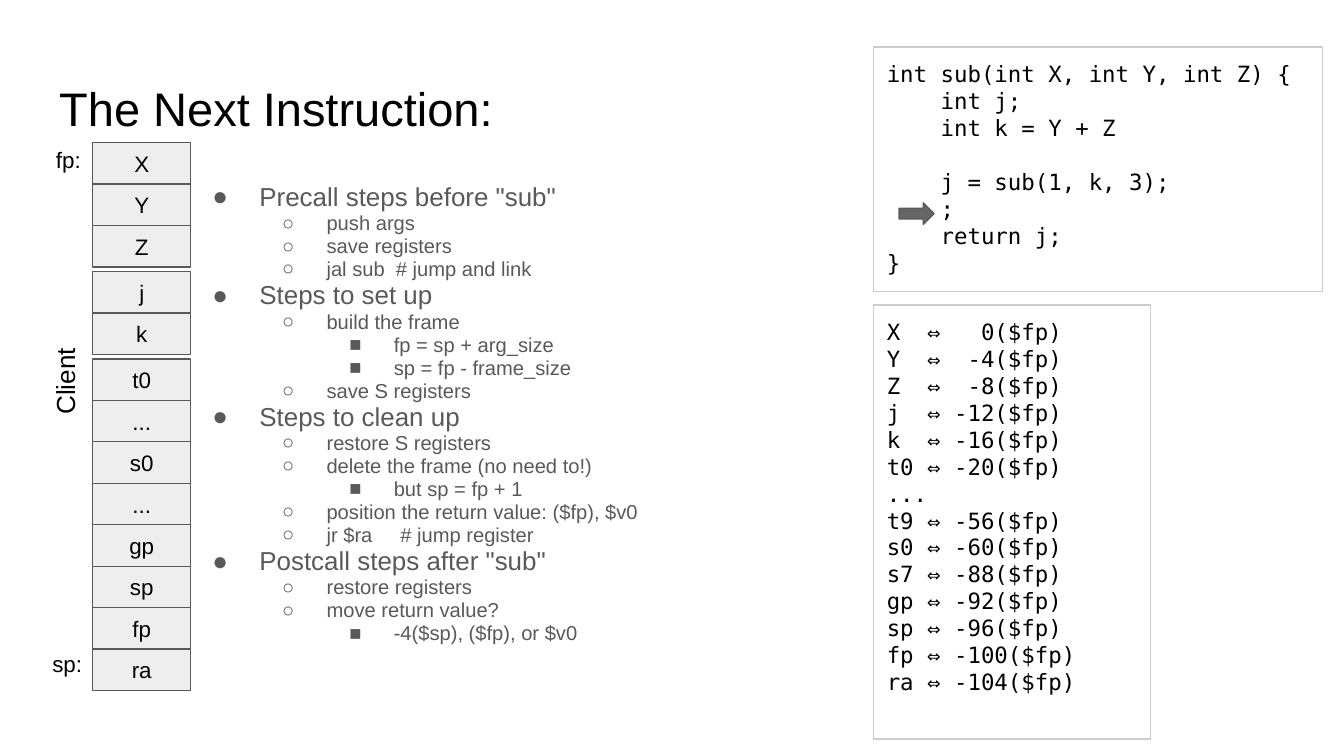
from dataclasses import dataclass

from lxml import etree
from pptx import Presentation
from pptx.dml.color import RGBColor
from pptx.enum.shapes import MSO_SHAPE
from pptx.enum.text import MSO_ANCHOR, MSO_AUTO_SIZE, PP_ALIGN
from pptx.oxml.ns import qn
from pptx.util import Inches, Pt

RECT, ARROW = MSO_SHAPE.RECTANGLE, MSO_SHAPE.RIGHT_ARROW
TOP, MIDDLE = MSO_ANCHOR.TOP, MSO_ANCHOR.MIDDLE
LEFT, CENTER, RIGHT = PP_ALIGN.LEFT, PP_ALIGN.CENTER, PP_ALIGN.RIGHT
NO_AUTOSIZE = MSO_AUTO_SIZE.NONE


@dataclass(frozen=True)
class Theme:
    ink: str = "000000"
    muted: str = "595959"
    cell: str = "EEEEEE"
    border: str = "CCCCCC"
    arrow: str = "666666"
    sans: str = "Arial"
    mono: str = "DejaVu Sans Mono"
    title: float = 25.2
    head: float = 13.9
    item: float = 10.8
    label: float = 12
    side: float = 14
    code_gap: float = 14.4
    rule: float = 0.75


LEVELS = [("●", 0.5, -0.35), ("○", 1, -0.33), ("■", 1.5, -0.33)]

STEPS = [
    (0, 'Precall steps before "sub"'),
    (1, "push args"),
    (1, "save registers"),
    (1, "jal sub  # jump and link"),
    (0, "Steps to set up"),
    (1, "build the frame"),
    (2, "fp = sp + arg_size"),
    (2, "sp = fp - frame_size"),
    (1, "save S registers"),
    (0, "Steps to clean up"),
    (1, "restore S registers"),
    (1, "delete the frame (no need to!)"),
    (2, "but sp = fp + 1"),
    (1, "position the return value: ($fp), $v0"),
    (1, "jr $ra     # jump register"),
    (0, 'Postcall steps after "sub"'),
    (1, "restore registers"),
    (1, "move return value?"),
    (2, "-4($sp), ($fp), or $v0"),
]

DECLARATIONS = [
    "int sub(int X, int Y, int Z) {",
    "    int j;",
    "    int k = Y + Z",
]
CALL = ["    j = sub(1, k, 3);", "    ;", "    return j;\n}"]

OFFSETS = [
    "X  ⇔   0($fp)",
    "Y  ⇔  -4($fp)",
    "Z  ⇔  -8($fp)",
    "j  ⇔ -12($fp)",
    "k  ⇔ -16($fp)",
    "t0 ⇔ -20($fp)",
    "...",
    "t9 ⇔ -56($fp)",
    "s0 ⇔ -60($fp)",
    "s7 ⇔ -88($fp)",
    "gp ⇔ -92($fp)",
    "sp ⇔ -96($fp)",
    "fp ⇔ -100($fp)",
    "ra ⇔ -104($fp)",
]

FRAME = [
    (1.06, ["X", "Y", "Z"]),
    (2.02, ["j", "k"]),
    (2.67, ["t0", "...", "s0", "...", "gp", "sp", "fp", "ra"]),
]
CELL_X, CELL_W, CELL_H = 0.69, 0.73, 0.31
CELL_STEP = (4.83 - 2.67) / 7


def write(p, text, *, size, font, color, align=LEFT, spacing=1.0, before=0):
    p.alignment = align
    p.line_spacing = spacing
    p.space_before = Pt(before)
    p.space_after = Pt(0)
    for i, line in enumerate(text.split("\n")):
        if i:
            p.add_line_break()
        r = p.add_run()
        r.text = line
        r.font.size = Pt(size)
        r.font.name = font
        r.font.color.rgb = RGBColor.from_string(color)


class Deck:
    def __init__(self, prs, theme):
        self.theme = theme
        self.s = prs.slides.add_slide(prs.slide_layouts[1])

    def frame(self, sp, anchor=TOP):
        tf = sp.text_frame
        tf.word_wrap = True
        tf.auto_size = NO_AUTOSIZE
        tf.vertical_anchor = anchor
        tf.margin_left = tf.margin_right = Inches(0.1)
        tf.margin_top = tf.margin_bottom = Inches(0.1)
        return tf

    def place(self, sp, box):
        sp.left, sp.top, sp.width, sp.height = map(Inches, box)

    def title(self, text, box):
        t = self.theme
        sp = self.s.shapes.title
        self.place(sp, box)
        tf = self.frame(sp, MIDDLE)
        write(tf.paragraphs[0], text, size=t.title, font=t.sans, color=t.ink)

    def outline(self, items, box):
        t = self.theme
        sp = self.s.placeholders[1]
        self.place(sp, box)
        tf = self.frame(sp)
        for i, (level, text) in enumerate(items):
            p = tf.add_paragraph() if i else tf.paragraphs[0]
            p.level = level
            size = t.item if level else t.head
            write(p, text, size=size, font=t.sans, color=t.muted, spacing=0.95)
            self.bullet(p, *LEVELS[level])

    def bullet(self, p, char, margin, indent):
        t = self.theme
        pPr = p._p.get_or_add_pPr()
        pPr.set("marL", str(Inches(margin)))
        pPr.set("indent", str(Inches(indent)))
        clr = etree.SubElement(pPr, qn("a:buClr"))
        etree.SubElement(clr, qn("a:srgbClr"), val=t.muted)
        etree.SubElement(pPr, qn("a:buFont"), typeface=t.sans)
        etree.SubElement(pPr, qn("a:buChar"), char=char)

    def shape(self, kind, box, line, fill=None):
        sp = self.s.shapes.add_shape(kind, *map(Inches, box))
        sp.shadow.inherit = False
        sp.line.color.rgb = RGBColor.from_string(line)
        sp.line.width = Pt(self.theme.rule)
        if fill:
            sp.fill.solid()
            sp.fill.fore_color.rgb = RGBColor.from_string(fill)
        else:
            sp.fill.background()
        return sp

    def cell(self, text, box):
        t = self.theme
        tf = self.frame(self.shape(RECT, box, t.muted, t.cell), MIDDLE)
        write(tf.paragraphs[0], text, size=t.label, font=t.sans, color=t.ink, align=CENTER)

    def code(self, blocks, box):
        t = self.theme
        tf = self.frame(self.shape(RECT, box, t.border))
        p = tf.paragraphs[0]
        for b, block in enumerate(blocks):
            for i, text in enumerate(block):
                if b or i:
                    p = tf.add_paragraph()
                before = t.code_gap if b and not i else 0
                write(p, text, size=t.label, font=t.mono, color=t.ink, before=before)

    def label(self, text, box, size, align=LEFT, rotation=0):
        t = self.theme
        sp = self.s.shapes.add_textbox(*map(Inches, box))
        sp.rotation = rotation
        tf = self.frame(sp)
        write(tf.paragraphs[0], text, size=size, font=t.sans, color=t.ink, align=align)


def main():
    prs = Presentation()
    prs.slide_width = Inches(10)
    prs.slide_height = prs.slide_width * 9 // 16
    t = Theme()
    deck = Deck(prs, t)
    deck.title("The Next Instruction:", (0.34, 0.49, 9.32, 0.63))
    deck.outline(STEPS, (1.33, 1.26, 8.12, 3.74))
    deck.code([DECLARATIONS, CALL], (6.5, 0.35, 3.34, 1.82))
    for top, names in FRAME:
        for i, name in enumerate(names):
            deck.cell(name, (CELL_X, top + i * CELL_STEP, CELL_W, CELL_H))
    deck.label("fp:", (0.15, 0.99, 0.55, 0.4), t.label, RIGHT)
    deck.label("sp:", (0.16, 4.74, 0.55, 0.4), t.label, RIGHT)
    deck.label("Client", (0.12, 2.6, 0.73, 0.44), t.side, rotation=270)
    deck.shape(ARROW, (6.69, 1.51, 0.26, 0.16), t.muted, t.arrow)
    deck.code([OFFSETS], (6.5, 2.27, 2.06, 3.23))
    prs.save("out.pptx")


if __name__ == "__main__":
    main()
